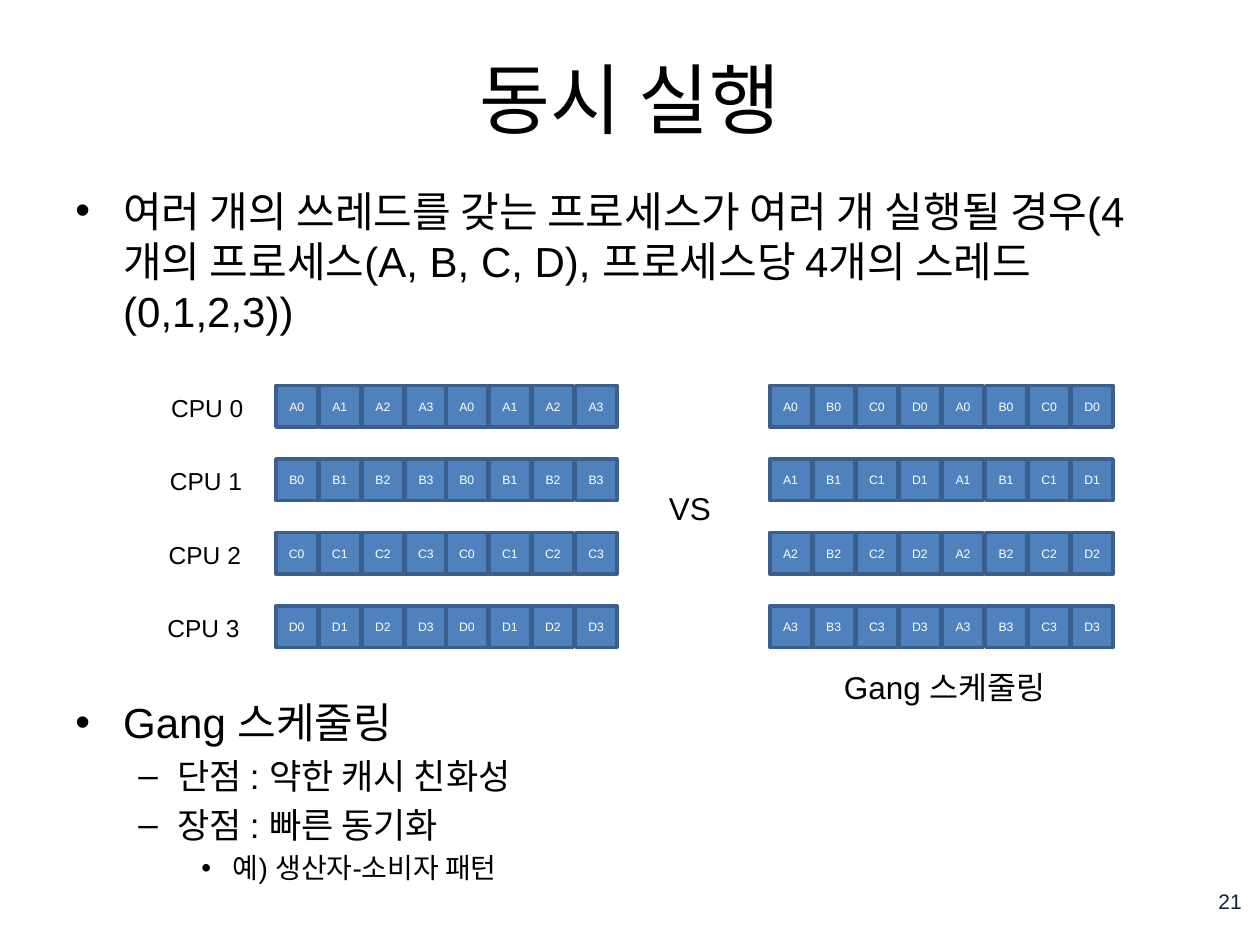
from dataclasses import dataclass

from lxml import etree
from pptx import Presentation
from pptx import util as u
from pptx.dml.color import RGBColor
from pptx.enum import shapes, text
from pptx.oxml.ns import qn


@dataclass(frozen=True)
class Theme:
    font: str = "Arial"
    ink: str = "000000"
    page_ink: str = "0F243E"
    cell_ink: str = "FFFFFF"
    cell_fill: str = "4F81BD"
    cell_line: str = "3A5F8C"
    title: int = 44
    levels: tuple = (24, 20, 16)
    caption: int = 18
    cpu: int = 14
    page: int = 12
    cell: int = 7


THEME = Theme()
WIDTH, HEIGHT = 10, 7.5
MARGIN = WIDTH / 20

# Timeline grid: one column per time slot, one row per CPU
COLUMN, ROW, CELL = 0.342, 0.583, 0.33
GRID_TOP = 3.06
PROCESSES = "ABCD"
THREADS = "0123"

# Bullet, text indent and hanging indent for each outline level
OUTLINE = (("•", 0.38, 0.38), ("–", 0.81, 0.31), ("•", 1.25, 0.25))
DIAGRAM_GAP = 206  # points the outline leaves free for the timelines
POINTS = (
    (0, "여러 개의 쓰레드를 갖는 프로세스가 여러 개 실행될 경우(4개의 프로세스(A, B, C, D), "
        "프로세스당 4개의 스레드(0,1,2,3))", None),
    (0, "Gang 스케줄링", DIAGRAM_GAP),
    (1, "단점 : 약한 캐시 친화성", None),
    (1, "장점 : 빠른 동기화", None),
    (2, "예) 생산자-소비자 패턴", None),
)


def box(left, top, width, height):
    return [u.Inches(length) for length in (left, top, width, height)]


def write(paragraph, words, size, color=THEME.ink, align=text.PP_ALIGN.LEFT):
    paragraph.alignment = align
    run = paragraph.add_run()
    run.text = words
    for key, value in {"name": THEME.font, "size": u.Pt(size)}.items():
        setattr(run.font, key, value)
    run.font.color.rgb = RGBColor.from_string(color)


def add_text(slide, place, words, size, wrap=True,
             anchor=text.MSO_ANCHOR.TOP, **style):
    frame = slide.shapes.add_textbox(*box(*place)).text_frame
    fit = text.MSO_AUTO_SIZE.NONE if wrap else text.MSO_AUTO_SIZE.SHAPE_TO_FIT_TEXT
    settings = {"word_wrap": wrap, "vertical_anchor": anchor, "auto_size": fit}
    for key, value in settings.items():
        setattr(frame, key, value)
    write(frame.paragraphs[0], words, size, **style)


def add_outline(slide, place, points):
    frame = slide.shapes.add_textbox(*box(*place)).text_frame
    frame.word_wrap = True
    for index, (level, words, gap) in enumerate(points):
        paragraph = frame.paragraphs[0] if index == 0 else frame.add_paragraph()
        size = THEME.levels[level]
        bullet, indent, hanging = OUTLINE[level]
        paragraph.level = level
        paragraph.space_before = u.Pt(gap or size * 0.2)
        write(paragraph, words, size)
        properties = paragraph._p.get_or_add_pPr()
        properties.set("marL", str(u.Inches(indent)))
        properties.set("indent", str(-u.Inches(hanging)))
        etree.SubElement(properties, qn("a:buFont"), typeface=THEME.font)
        etree.SubElement(properties, qn("a:buChar"), char=bullet)


def add_slot(slide, left, top, label):
    slot = slide.shapes.add_shape(
        shapes.MSO_SHAPE.RECTANGLE, *box(left, top, CELL, CELL))
    slot.shadow.inherit = False
    slot.fill.solid()
    slot.fill.fore_color.rgb = RGBColor.from_string(THEME.cell_fill)
    slot.line.color.rgb = RGBColor.from_string(THEME.cell_line)
    slot.line.width = u.Pt(2)
    frame = slot.text_frame
    settings = {"margin_left": 0, "margin_right": 0, "margin_top": 0,
                "margin_bottom": 0, "vertical_anchor": text.MSO_ANCHOR.MIDDLE}
    for key, value in settings.items():
        setattr(frame, key, value)
    write(frame.paragraphs[0], label, THEME.cell, THEME.cell_ink,
          text.PP_ALIGN.CENTER)


def add_timelines(slide, left, round_width, schedule):
    """Draw the four-slot schedule of every CPU twice in a row."""
    for row, slots in enumerate(schedule):
        for column, label in enumerate(slots * 2):
            turn, step = divmod(column, len(slots))
            add_slot(slide, left + turn * round_width + step * COLUMN,
                     GRID_TOP + row * ROW, label)


def main():
    deck = Presentation()
    deck.slide_width, deck.slide_height = u.Inches(WIDTH), u.Inches(HEIGHT)
    slide = deck.slides.add_slide(deck.slide_layouts[6])
    middle = text.MSO_ANCHOR.MIDDLE

    # Title and outline
    content = WIDTH - 2 * MARGIN
    add_text(slide, (MARGIN, 0.3, content, 0.95), "동시 실행", THEME.title,
             anchor=middle, align=text.PP_ALIGN.CENTER)
    add_outline(slide, (MARGIN, 1.42, content, 5.75), POINTS)

    # Page number
    add_text(slide, (7.67, 6.95, 2.33, 0.4), "21 ", THEME.page, anchor=middle,
             color=THEME.page_ink, align=text.PP_ALIGN.RIGHT)

    # One process per CPU, against one thread of every process per CPU
    by_process = [[p + t for t in THREADS] for p in PROCESSES]
    gang = [[p + t for p in PROCESSES] for t in THREADS]
    add_timelines(slide, 2.19, 1.35, by_process)
    add_timelines(slide, 6.11, 4 * COLUMN, gang)

    # Labels around the timelines
    for cpu in range(len(by_process)):
        add_text(slide, (1.26 - 0.01 * cpu, GRID_TOP + 0.01 + cpu * ROW, 0.78, 0.34),
                 f"CPU {cpu}", THEME.cpu, wrap=False)
    add_text(slide, (5.21, 3.83, 0.54, 0.4), "VS", THEME.caption, wrap=False)
    add_text(slide, (6.6, 5.25, 1.9, 0.4), "Gang 스케줄링", THEME.caption, wrap=False)

    deck.save("out.pptx")


if __name__ == "__main__":
    main()
